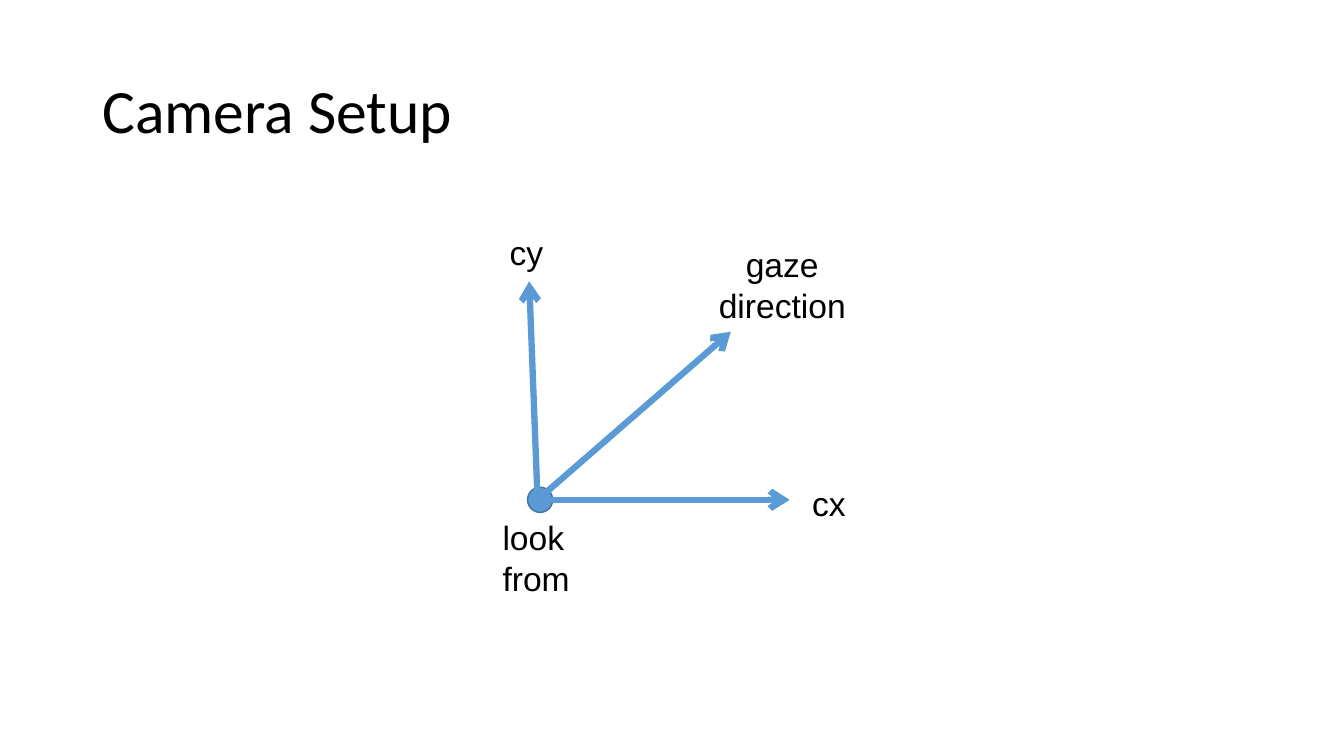
"""Build the Camera Setup slide on a grid of 160 columns by 90 rows."""
from dataclasses import dataclass

from lxml import etree
from pptx import Presentation
from pptx import util as u
from pptx.dml.color import RGBColor
from pptx.enum import shapes, text
from pptx.oxml.ns import qn
from pptx.shapes.shapetree import SlideShapes

COLUMNS, ROWS = 160, 90
CELL = u.Inches(1 / 12)
COLORS = {"ink": "000000", "axis": "5B9BD5", "rim": "43739E"}
CAMERA = (64, 59.5)


@dataclass(frozen=True)
class Label:
    wording: str
    column: float
    row: float
    columns: float
    rows: float
    align: text.PP_ALIGN = text.PP_ALIGN.LEFT
    anchor: text.MSO_ANCHOR = text.MSO_ANCHOR.TOP
    font: str = "Arial"
    size: int = 24
    spacing: float = 1.0
    wrap: bool = False


@dataclass(frozen=True)
class Axis:
    column: float
    row: float


TITLE = Label("Camera Setup", 11, 4.8, 138, 17.4, anchor=text.MSO_ANCHOR.MIDDLE,
              font="Calibri", size=44, spacing=0.9, wrap=True)
GAZE, UP, RIGHT = Axis(87, 39.5), Axis(63, 33.5), Axis(94, 59.5)
LABELS = (
    Label("look\nfrom", 58.65, 61, 10.6, 10.9),
    Label("cx", 95.5, 56.9, 6.5, 6.1),
    Label("cy", 59.5, 27, 6.5, 6.1),
    Label("gaze\ndirection", 84.25, 28.5, 17.75, 10.9, text.PP_ALIGN.CENTER),
)


def grid(*cells: float) -> list[u.Emu]:
    return [u.Emu(round(cell * CELL)) for cell in cells]


def color(name: str) -> RGBColor:
    return RGBColor.from_string(COLORS[name])


def draw_label(canvas: SlideShapes, label: Label) -> None:
    frame = canvas.add_textbox(
        *grid(label.column, label.row, label.columns, label.rows)).text_frame
    frame.text = label.wording
    frame.word_wrap = label.wrap
    frame.vertical_anchor = label.anchor
    if not label.wrap:
        frame.auto_size = text.MSO_AUTO_SIZE.SHAPE_TO_FIT_TEXT
    for paragraph in frame.paragraphs:
        paragraph.alignment = label.align
        paragraph.line_spacing = label.spacing
        for run in paragraph.runs:
            run.font.name = label.font
            run.font.size = u.Pt(label.size)
            run.font.color.rgb = color("ink")


def draw_camera(canvas: SlideShapes) -> None:
    camera = canvas.add_shape(shapes.MSO_SHAPE.OVAL, *grid(62.8, 58, 3, 3))
    camera.shadow.inherit = False
    camera.fill.solid()
    camera.fill.fore_color.rgb = color("axis")
    camera.line.color.rgb = color("rim")
    camera.line.width = u.Pt(1)


def draw_axis(canvas: SlideShapes, axis: Axis) -> None:
    arrow = canvas.add_connector(
        shapes.MSO_CONNECTOR.STRAIGHT, *grid(*CAMERA, axis.column, axis.row))
    arrow.line.color.rgb = color("axis")
    arrow.line.width = u.Pt(4.5)
    etree.SubElement(arrow.line._get_or_add_ln(), qn("a:tailEnd"), type="arrow")
    etree.SubElement(arrow._element.spPr, qn("a:effectLst"))


def main() -> None:
    deck = Presentation()
    deck.slide_width, deck.slide_height = grid(COLUMNS, ROWS)
    canvas = deck.slides.add_slide(deck.slide_layouts[6]).shapes
    draw_label(canvas, TITLE)
    draw_camera(canvas)
    for axis in (GAZE, UP, RIGHT):
        draw_axis(canvas, axis)
    for label in LABELS:
        draw_label(canvas, label)
    deck.save("out.pptx")


if __name__ == "__main__":
    main()
